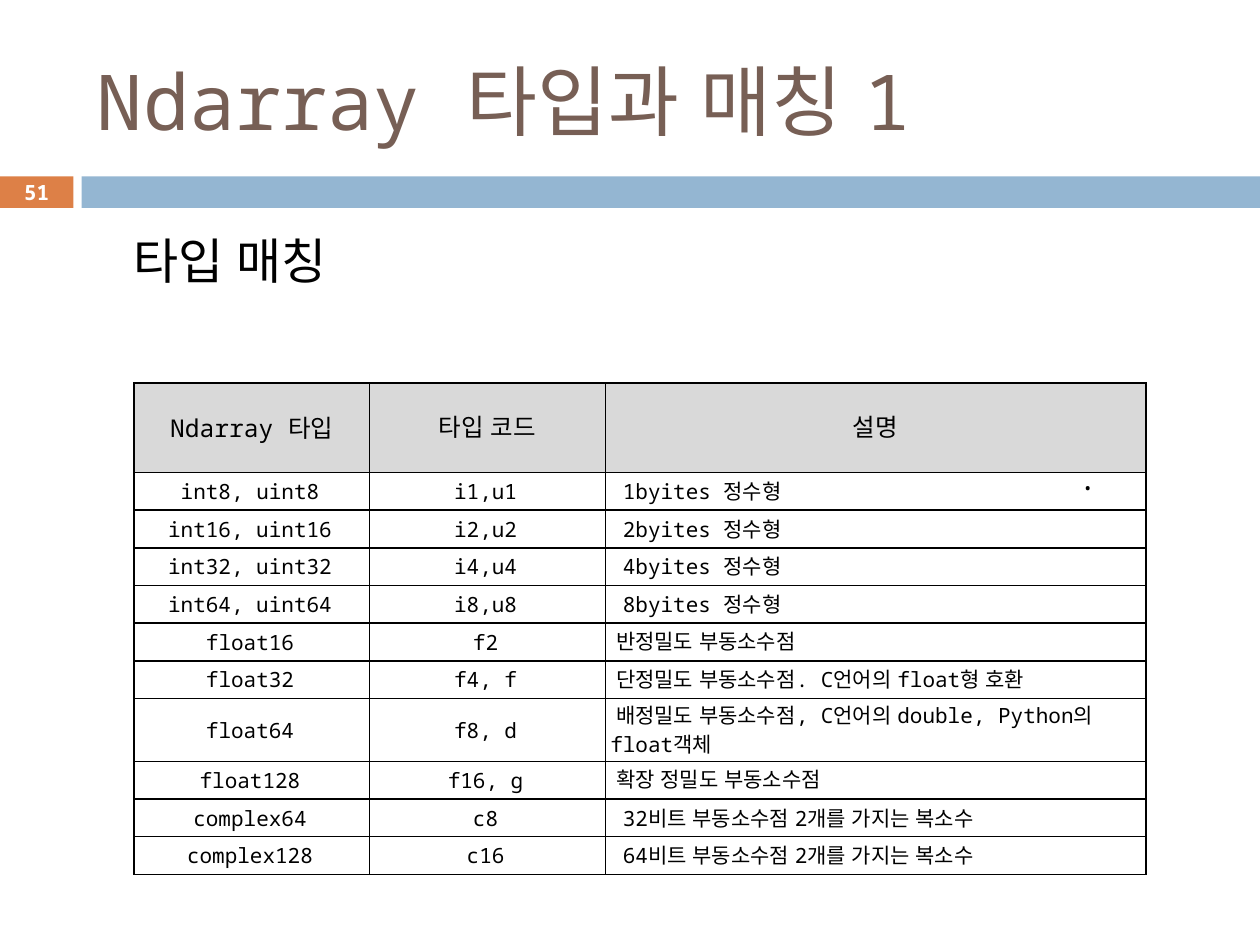
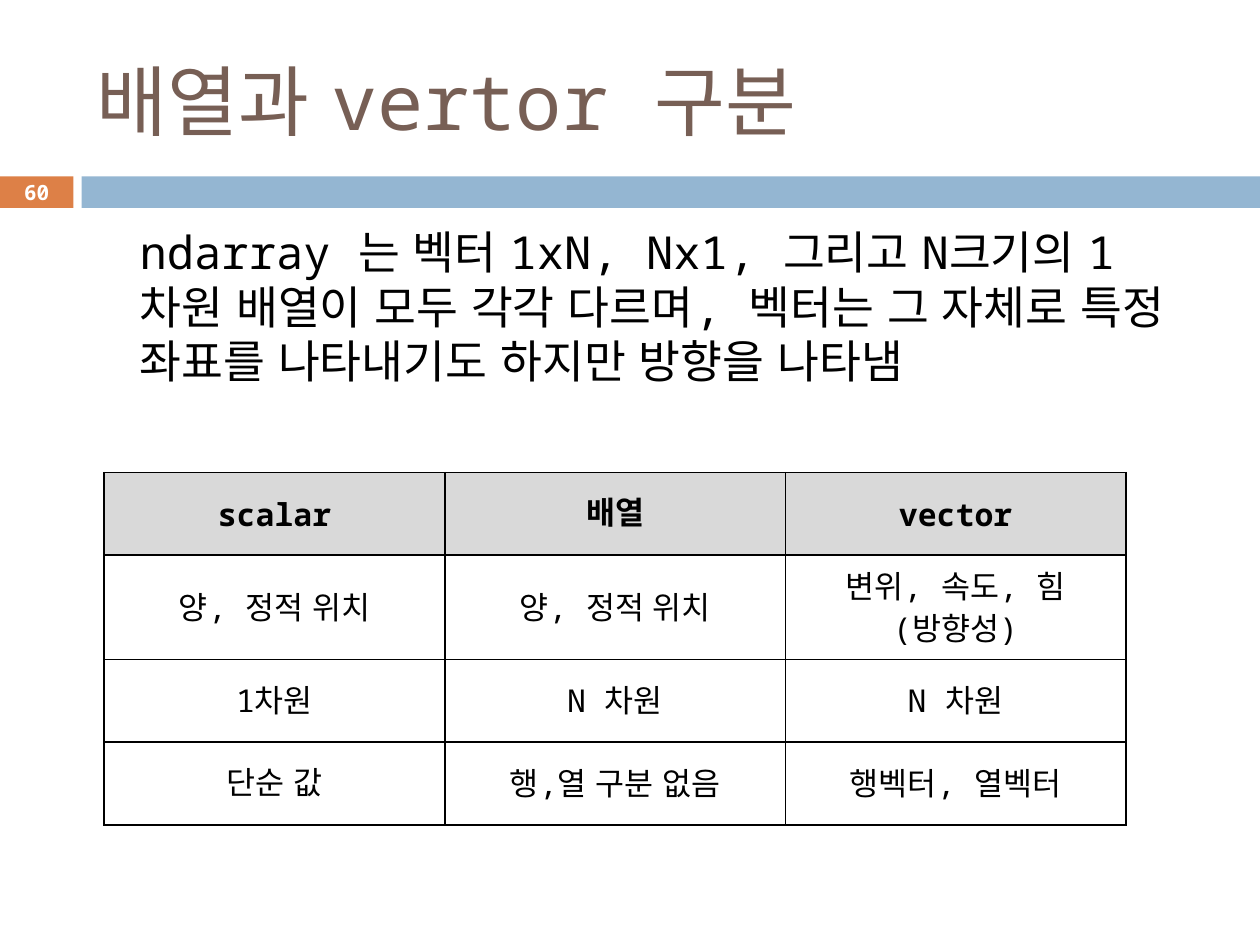
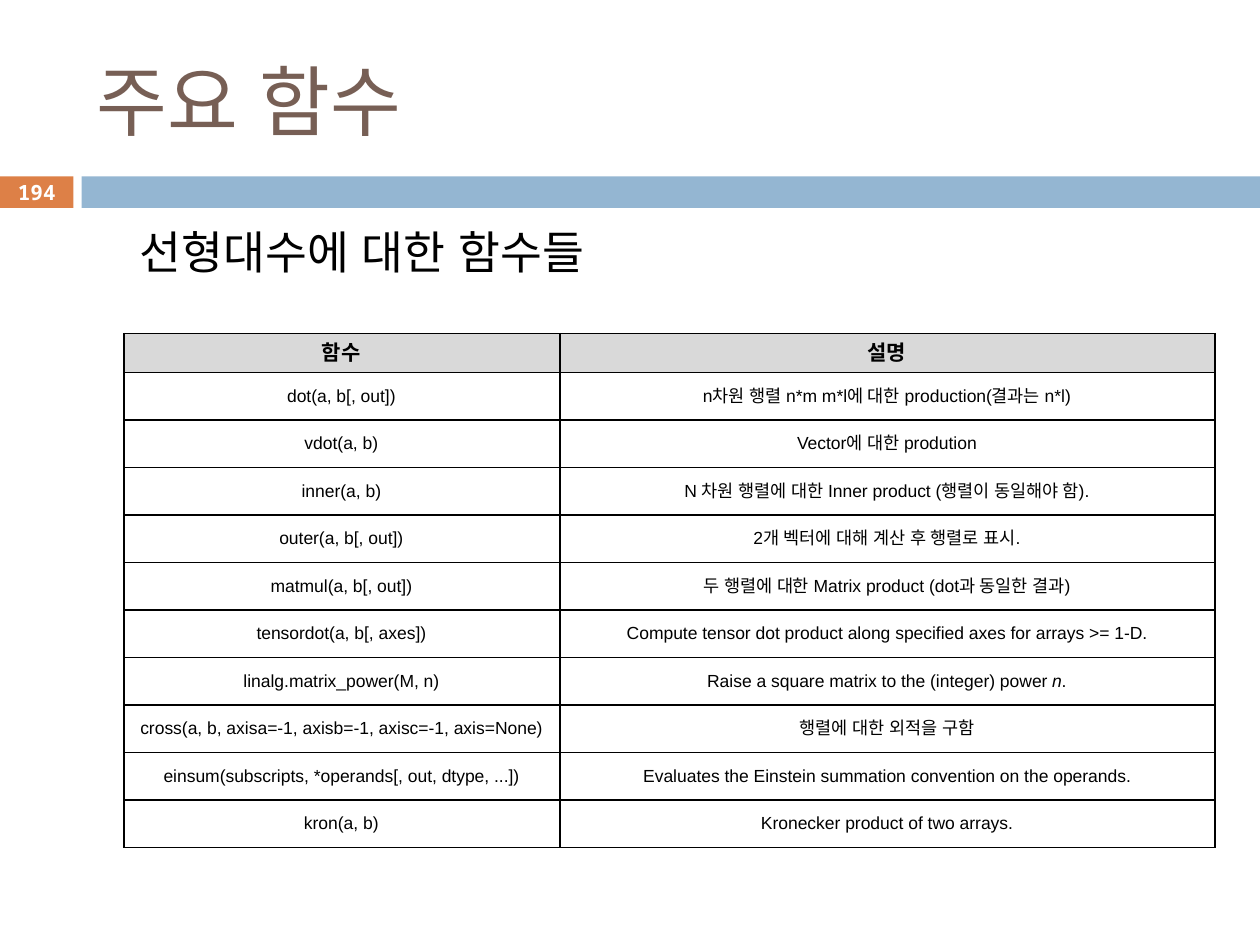
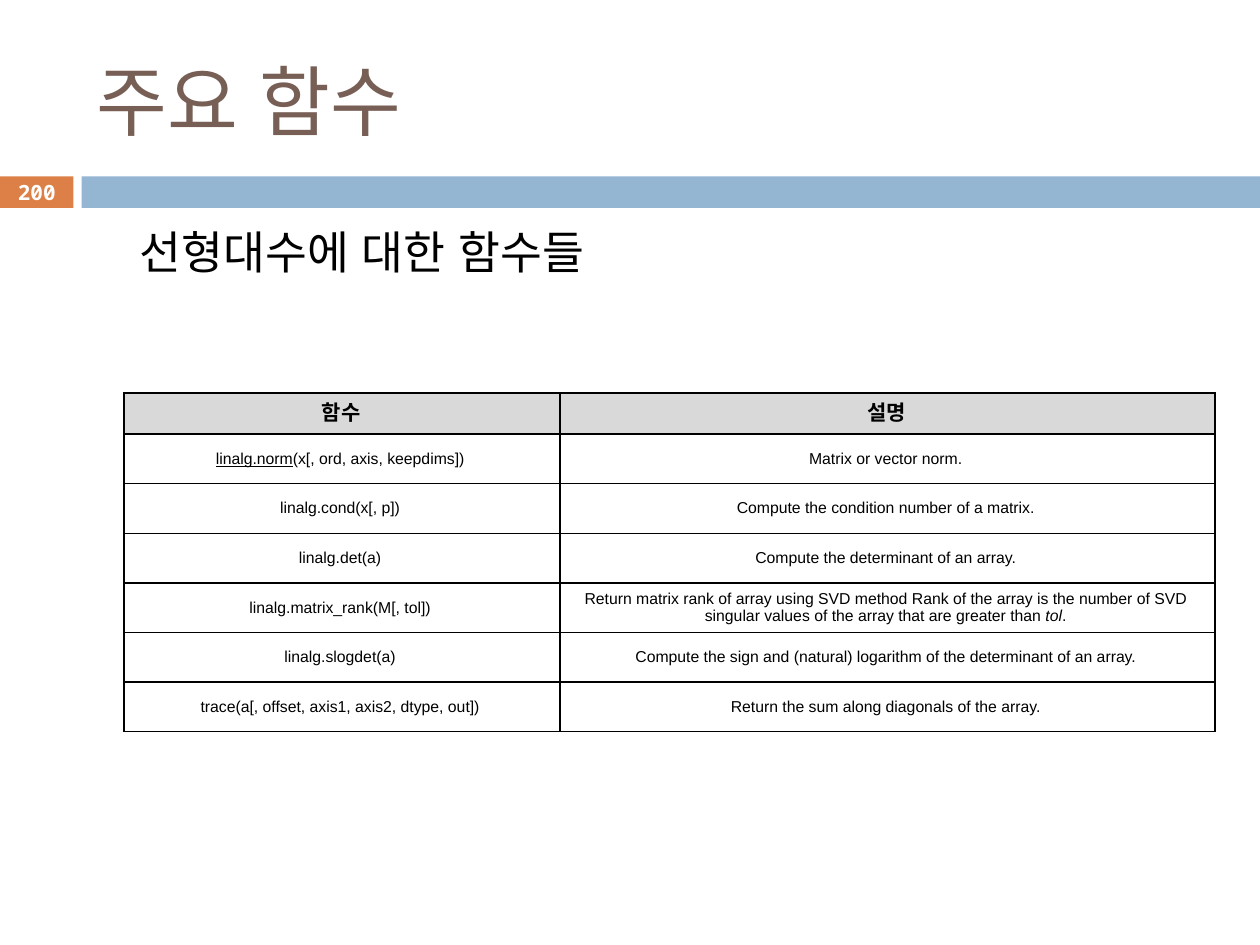
"""Build four slides on ndarray types, vectors and linear algebra functions."""
from dataclasses import dataclass, replace
from typing import NamedTuple

from lxml import etree
from pptx import Presentation
from pptx.dml.color import RGBColor
from pptx.enum.shapes import MSO_SHAPE
from pptx.enum.text import MSO_ANCHOR, PP_ALIGN
from pptx.oxml.ns import qn
from pptx.util import Inches, Pt

RECT = MSO_SHAPE.RECTANGLE
TOP, MIDDLE = MSO_ANCHOR.TOP, MSO_ANCHOR.MIDDLE
LEFT, CENTER = PP_ALIGN.LEFT, PP_ALIGN.CENTER

UNIT = Inches(0.1)
GRID_COLS, GRID_ROWS = 100, 75

BLACK, WHITE = "000000", "FFFFFF"
BROWN, ORANGE, BLUE, GRAY = "775F55", "DD8047", "94B6D2", "D9D9D9"
MONO, SANS = "Noto Sans Mono", "Arial"


class Box(NamedTuple):
    left: float
    top: float
    width: float
    height: float


class Insets(NamedTuple):
    left: float
    top: float
    right: float
    bottom: float


class Run(NamedTuple):
    text: str
    italic: bool = False
    underline: bool = False


Cell = str | tuple[Run, ...]


@dataclass(frozen=True)
class Style:
    size: float
    color: str = BLACK
    font: str = MONO
    bold: bool = False
    align: PP_ALIGN = LEFT
    anchor: MSO_ANCHOR = TOP
    before: float = 0
    indent: float = 0


@dataclass(frozen=True)
class Grid:
    box: Box
    cols: tuple[float, ...]
    heights: tuple[float, ...]
    header: Style
    body: Style
    header_insets: Insets
    body_insets: Insets
    rows: tuple[tuple[Cell, ...], ...]
    fill: str | None = None
    last_col_align: PP_ALIGN = CENTER


@dataclass(frozen=True)
class Page:
    number: int
    title: str
    lead: str
    lead_box: Box
    lead_style: Style
    grid: Grid


NUMBER_BAND = Box(0, 14, 5.83, 2.5)
TITLE_BAND = Box(6.47, 14, GRID_COLS - 6.47, 2.5)
TITLE_BOX = Box(6.7, 2.5, 89.2, 10.8)
LEAD_BOX = Box(5.1, 17.3, 90, 14.7)
DOT_BOX = Box(84.6, 35.9, 15, 4)

DEFAULT_INSETS = Insets(1, 0.5, 1, 0.5)
NO_INSETS = Insets(0, 0, 0, 0)
LOOSE = Insets(0.4, 0.2, 0.4, 0.2)
TIGHT = Insets(0.4, 0.1, 0.7, 0.1)
THIN = Insets(0.2, 0, 0.3, 0)

TITLE = Style(44, BROWN, anchor=MIDDLE)
NUMBER = Style(12, WHITE, bold=True, align=CENTER, anchor=MIDDLE)
LEAD = Style(26, before=5.5, indent=5)
TYPE_LEAD = Style(28, before=5.5, indent=4.6)
DOT = Style(18)


def cell_style(size: float, font: str = MONO, bold: bool = False) -> Style:
    """Return the centred style of a table cell."""
    return Style(size, font=font, bold=bold, align=CENTER, anchor=MIDDLE)


TYPE_ROWS = (
    ("Ndarray 타입", "타입 코드", "설명"),
    ("int8, uint8", "i1,u1", " 1byites 정수형"),
    ("int16, uint16", "i2,u2", " 2byites 정수형"),
    ("int32, uint32", "i4,u4", " 4byites 정수형"),
    ("int64, uint64", "i8,u8", " 8byites 정수형"),
    ("float16", "f2", " 반정밀도 부동소수점"),
    ("float32", "f4, f", " 단정밀도 부동소수점. C언어의 float형 호환"),
    ("float64", "f8, d", " 배정밀도 부동소수점, C언어의 double, Python의 float객체"),
    ("float128", "f16, g", " 확장 정밀도 부동소수점"),
    ("complex64", "c8", " 32비트 부동소수점 2개를 가지는 복소수"),
    ("complex128", "c16", " 64비트 부동소수점 2개를 가지는 복소수"),
)

VECTOR_ROWS = (
    ("scalar", "배열", "vector"),
    ("양, 정적 위치", "양, 정적 위치", "변위, 속도, 힘(방향성)"),
    ("1차원", "N 차원", "N 차원"),
    ("단순 값", "행,열 구분 없음", "행벡터, 열벡터"),
)

PRODUCT_ROWS = (
    ("함수", "설명"),
    ("dot(a, b[, out])", "n차원 행렬 n*m m*l에 대한 production(결과는 n*l)"),
    ("vdot(a, b)", "Vector에 대한 prodution"),
    ("inner(a, b)", "N 차원 행렬에 대한 Inner product (행렬이 동일해야 함)."),
    ("outer(a, b[, out])", "2개 벡터에 대해 계산 후 행렬로 표시."),
    ("matmul(a, b[, out])", "두 행렬에 대한 Matrix product (dot과 동일한 결과)"),
    ("tensordot(a, b[, axes])",
     "Compute tensor dot product along specified axes for arrays >= 1-D."),
    ("linalg.matrix_power(M, n)",
     (Run("Raise a square matrix to the (integer) power "),
      Run("n", italic=True), Run("."))),
    ("cross(a, b, axisa=-1, axisb=-1, axisc=-1, axis=None)", "행렬에 대한 외적을 구함"),
    ("einsum(subscripts, *operands[, out, dtype, ...])",
     "Evaluates the Einstein summation convention on the operands."),
    ("kron(a, b)", "Kronecker product of two arrays."),
)

NORM_ROWS = (
    ("함수", "설명"),
    ((Run("linalg.norm", underline=True), Run("(x[, ord, axis, keepdims])")),
     "Matrix or vector norm."),
    ("linalg.cond(x[, p])", "Compute the condition number of a matrix."),
    ("linalg.det(a)", "Compute the determinant of an array."),
    ("linalg.matrix_rank(M[, tol])",
     (Run("Return matrix rank of array using SVD method Rank of the array is the "
          "number of SVD singular values of the array that are greater than "),
      Run("tol", italic=True), Run("."))),
    ("linalg.slogdet(a)",
     "Compute the sign and (natural) logarithm of the determinant of an array."),
    ("trace(a[, offset, axis1, axis2, dtype, out])",
     "Return the sum along diagonals of the array."),
)

FUNCTION_COLS = (34.6, 52)
FUNCTION_HEADER = cell_style(12, SANS, bold=True)

PAGES = (
    Page(51, "Ndarray 타입과 매칭 1", "타입 매칭", Box(5, 17.8, 90, 9.4), TYPE_LEAD,
         Grid(Box(10.64, 30.4, 80.3, 39), (18.7, 18.7, 42.9),
              (7.1, *(2.99,) * 6, 5, *(2.99,) * 3),
              cell_style(14), cell_style(12), LOOSE, TIGHT, TYPE_ROWS,
              last_col_align=LEFT)),
    Page(60, "배열과 vertor 구분",
         "ndarray 는 벡터 1xN, Nx1, 그리고 N크기의 1차원 배열이 모두 각각 다르며, "
         "벡터는 그 자체로 특정 좌표를 나타내기도 하지만 방향을 나타냄",
         LEAD_BOX, LEAD,
         Grid(Box(8.27, 37.5, 81.1, 28), (27.03,) * 3, (6.57, 8.27, 6.57, 6.57),
              cell_style(18, bold=True), cell_style(18),
              DEFAULT_INSETS, DEFAULT_INSETS, VECTOR_ROWS)),
    Page(194, "주요 함수", "선형대수에 대한 함수들", LEAD_BOX, LEAD,
         Grid(Box(9.84, 26.48, 86.6, 40.8), FUNCTION_COLS, (3.1, *(3.77,) * 10),
              FUNCTION_HEADER, cell_style(10, SANS), THIN, THIN, PRODUCT_ROWS, WHITE)),
    Page(200, "주요 함수", "선형대수에 대한 함수들", LEAD_BOX, LEAD,
         Grid(Box(9.84, 31.2, 86.6, 26.9), FUNCTION_COLS, (3.25, *(3.94,) * 6),
              FUNCTION_HEADER, cell_style(9, SANS), THIN, TIGHT, NORM_ROWS, WHITE)),
)


def rgb(color: str) -> RGBColor:
    """Turn a hex string into a colour."""
    return RGBColor.from_string(color)


def units(value: float) -> int:
    """Turn grid units into a length."""
    return round(value * UNIT)


def place(box: Box) -> list[int]:
    """Turn a grid box into left, top, width and height."""
    return [units(value) for value in box]


def write(tf, text: Cell, style: Style) -> None:
    """Write one styled paragraph into a text frame."""
    p = tf.paragraphs[0]
    p.alignment = style.align
    p.space_before = Pt(style.before)
    p_pr = p._p.get_or_add_pPr()
    p_pr.set("marL", str(units(style.indent)))
    p_pr.set("indent", "0")
    p.font.name = style.font
    p.font.size = Pt(style.size)
    p.font.bold = style.bold
    p.font.color.rgb = rgb(style.color)
    etree.SubElement(p_pr.find(qn("a:defRPr")), qn("a:ea"), typeface=SANS)
    for part in (Run(text),) if isinstance(text, str) else text:
        r = p.add_run()
        r.text = part.text
        if part.italic:
            r.font.italic = True
        if part.underline:
            r.font.underline = True


def set_margins(target, insets: Insets) -> None:
    """Set the inner margins of a text frame or cell."""
    (target.margin_left, target.margin_top,
     target.margin_right, target.margin_bottom) = [units(v) for v in insets]


def add_text(slide, box: Box, text: str, style: Style,
             insets: Insets = DEFAULT_INSETS) -> None:
    """Add a wrapped text box."""
    tf = slide.shapes.add_textbox(*place(box)).text_frame
    tf.word_wrap = True
    tf.vertical_anchor = style.anchor
    set_margins(tf, insets)
    write(tf, text, style)


def add_band(slide, box: Box, color: str) -> None:
    """Add a plain coloured band."""
    sp = slide.shapes.add_shape(RECT, *place(box))
    sp.shadow.inherit = False
    sp.fill.solid()
    sp.fill.fore_color.rgb = rgb(color)
    sp.line.fill.background()


def add_borders(cell) -> None:
    """Draw a thin black line on each side of a cell."""
    tc_pr = cell._tc.get_or_add_tcPr()
    for side in ("lnL", "lnR", "lnT", "lnB"):
        line = etree.SubElement(tc_pr, qn(f"a:{side}"), w=str(Pt(1)))
        fill = etree.SubElement(line, qn("a:solidFill"))
        etree.SubElement(fill, qn("a:srgbClr"), val=BLACK)


def fill_cell(cell, text: Cell, style: Style, insets: Insets, fill: str | None) -> None:
    """Write and format one table cell."""
    set_margins(cell, insets)
    cell.vertical_anchor = style.anchor
    add_borders(cell)
    if fill:
        cell.fill.solid()
        cell.fill.fore_color.rgb = rgb(fill)
    else:
        cell.fill.background()
    write(cell.text_frame, text, style)


def add_grid(slide, grid: Grid) -> None:
    """Add a table with a gray header row."""
    frame = slide.shapes.add_table(len(grid.rows), len(grid.cols), *place(grid.box))
    table = frame.table
    table.first_row = table.horz_banding = False
    for column, width in zip(table.columns, grid.cols):
        column.width = units(width)
    last_style = replace(grid.body, align=grid.last_col_align)
    for i, (row, height) in enumerate(zip(grid.rows, grid.heights)):
        table.rows[i].height = units(height)
        for j, text in enumerate(row):
            cell = table.cell(i, j)
            if i == 0:
                fill_cell(cell, text, grid.header, grid.header_insets, GRAY)
            else:
                style = last_style if j == len(row) - 1 else grid.body
                fill_cell(cell, text, style, grid.body_insets, grid.fill)


def add_page(prs, page: Page):
    """Add one slide with bands, title, lead, table and number."""
    slide = prs.slides.add_slide(prs.slide_layouts[6])
    add_band(slide, NUMBER_BAND, ORANGE)
    add_band(slide, TITLE_BAND, BLUE)
    add_text(slide, TITLE_BOX, page.title, TITLE)
    add_text(slide, page.lead_box, page.lead, page.lead_style)
    add_grid(slide, page.grid)
    add_text(slide, NUMBER_BAND, str(page.number), NUMBER, NO_INSETS)
    return slide


def main() -> None:
    """Build and save the presentation."""
    prs = Presentation()
    prs.slide_width, prs.slide_height = units(GRID_COLS), units(GRID_ROWS)
    slides = [add_page(prs, page) for page in PAGES]
    add_text(slides[0], DOT_BOX, ".", DOT)
    prs.save("out.pptx")


if __name__ == "__main__":
    main()
